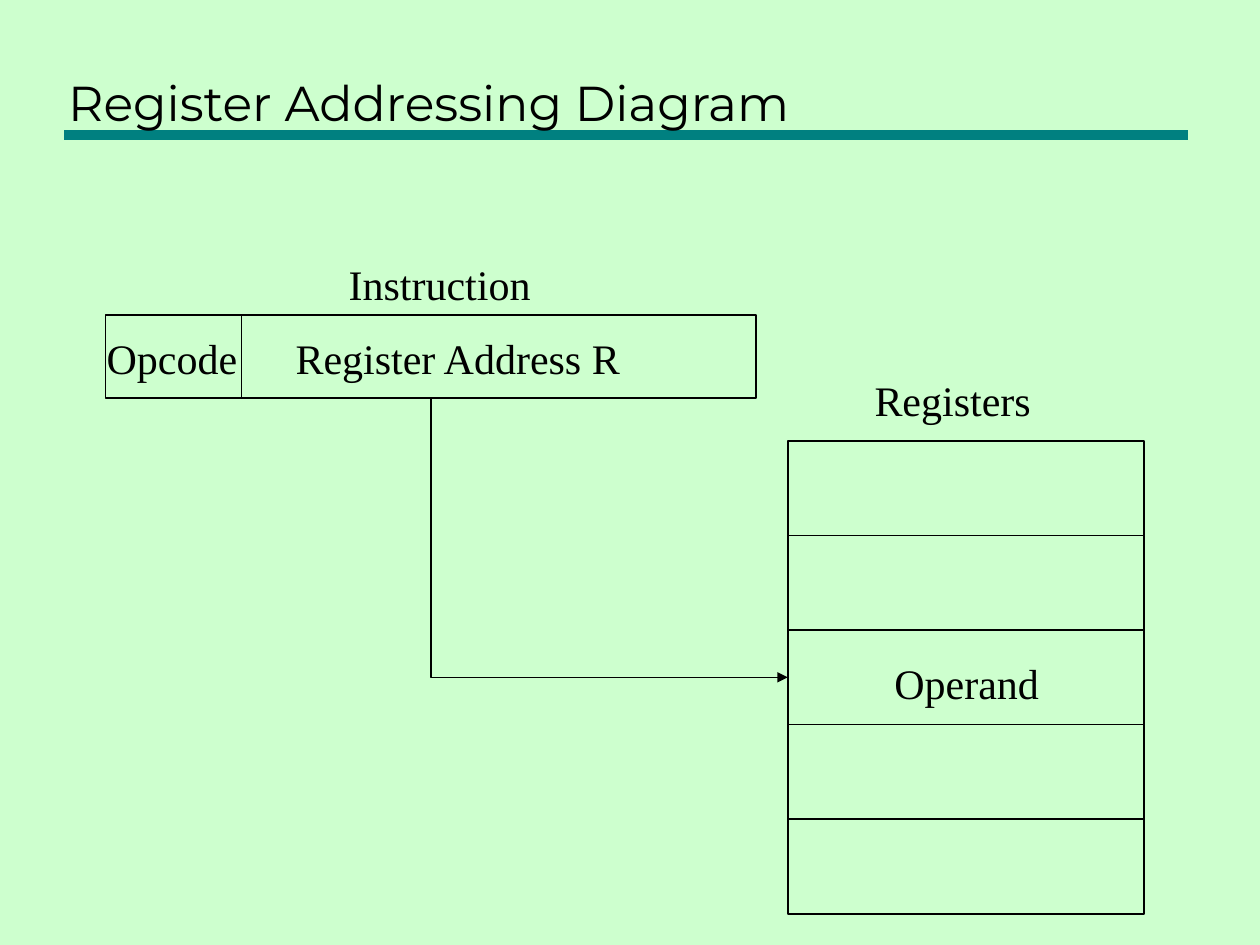
import pptx
import pptx.dml.color
import pptx.enum.shapes
import pptx.enum.text
import pptx.oxml
import pptx.oxml.ns
import pptx.util

Cm = pptx.util.Cm
Pt = pptx.util.Pt
INK = pptx.dml.color.RGBColor(0, 0, 0)
TEAL = pptx.dml.color.RGBColor(0, 0x80, 0x80)
MINT = pptx.dml.color.RGBColor(0xCD, 0xFF, 0xCE)


def add_run(frame, text, font, size):
    """Add one run of black text to the first paragraph of a frame."""
    run = frame.paragraphs[0].add_run()
    run.text = text
    run.font.name = font
    run.font.size = Pt(size)
    run.font.color.rgb = INK


def add_label(shapes, text, left, top, width):
    """Add a one-line label that does not wrap."""
    box = shapes.add_textbox(left, top, width, Cm(1.27))
    box.text_frame.word_wrap = False
    box.text_frame.auto_size = pptx.enum.text.MSO_AUTO_SIZE.SHAPE_TO_FIT_TEXT
    add_run(box.text_frame, text, "Times New Roman", 24)


def outline(shape):
    """Give a shape a thin black edge with no fill or shadow."""
    shape.shadow.inherit = False
    shape.fill.background()
    shape.line.color.rgb = INK
    shape.line.width = Pt(1)


def add_cell(shapes, left, top, width, height):
    """Add an empty outlined rectangle."""
    kind = pptx.enum.shapes.MSO_SHAPE.RECTANGLE
    cell = shapes.add_shape(kind, left, top, width, height)
    outline(cell)
    return cell


def add_line(shapes, start, end, color, weight):
    """Add a straight line without a shadow."""
    kind = pptx.enum.shapes.MSO_CONNECTOR.STRAIGHT
    line = shapes.add_connector(kind, *start, *end)
    line.line.color.rgb = color
    line.line.width = Pt(weight)
    props = line.element.spPr
    props.append(props.makeelement(pptx.oxml.ns.qn("a:effectLst"), {}))
    return line


def draw_head(slide, left, top, width, height):
    """Place the title with a teal rule behind its lower edge."""
    title = slide.shapes.title
    title.left, title.top, title.width, title.height = left, top, width, height
    frame = title.text_frame
    frame.auto_size = pptx.enum.text.MSO_AUTO_SIZE.NONE
    frame.vertical_anchor = pptx.enum.text.MSO_ANCHOR.BOTTOM
    frame.paragraphs[0].alignment = pptx.enum.text.PP_ALIGN.LEFT
    add_run(frame, "Register Addressing Diagram", "Montserrat", 28)
    base = top + height - Cm(0.05)
    start, end = left + Cm(0.18), left + width + Cm(0.05)
    rule = add_line(slide.shapes, (start, base), (end, base), TEAL, 6)
    title.element.addprevious(rule.element)


def draw_code(slide, left, top, width, height):
    """Draw the two-field word with its labels and return its frame."""
    shapes = slide.shapes.add_group_shape().shapes
    cell = add_cell(shapes, left, top, width, height)
    split = left + Cm(2.74)
    add_line(shapes, (split, top), (split, top + height), INK, 1)
    for text, right, down, wide in (
        ("Register Address R", 3.58, 0.23, 7.09),
        ("Opcode", -0.23, 0.23, 3.15),
        ("Instruction", 4.65, -1.27, 4.17),
    ):
        add_label(shapes, text, left + Cm(right), top + Cm(down), Cm(wide))
    return cell


def draw_bank(slide, left, top, width, height):
    """Draw the stack of five cells and return the one in use."""
    step = height // 5
    cells = [
        add_cell(slide.shapes, left, top + row * step, width, step)
        for row in range(5)
    ]
    target = cells[2]
    add_label(slide.shapes, "Registers", left + Cm(1.5), top - Cm(1.47), Cm(3.66))
    add_label(slide.shapes, "Operand", left + Cm(1.9), target.top + Cm(0.43), Cm(3.43))
    return target


def draw_link(slide, source, target):
    """Draw a bent arrow from the base of one cell to the side of another."""
    left = source.left + source.width // 2
    base = target.top + target.height // 2
    path = slide.shapes.build_freeform(left, source.top + source.height)
    path.add_line_segments([(left, base), (target.left, base)], close=False)
    link = path.convert_to_shape()
    outline(link)
    edge = link.line._get_or_add_ln()
    tip = edge.makeelement(pptx.oxml.ns.qn("a:tailEnd"), {"type": "triangle"})
    edge.append(tip)


def main():
    """Build the slide and save it."""
    deck = pptx.Presentation()
    deck.slide_width, deck.slide_height = Cm(25.4), Cm(19.05)
    slide = deck.slides.add_slide(deck.slide_layouts[5])
    slide.background.fill.solid()
    slide.background.fill.fore_color.rgb = MINT
    draw_head(slide, Cm(1.12), Cm(0.43), Cm(22.78), Cm(2.34))
    source = draw_code(slide, Cm(2.13), Cm(6.35), Cm(13.11), Cm(1.68))
    target = draw_bank(slide, Cm(15.88), Cm(8.89), Cm(7.19), Cm(9.53))
    draw_link(slide, source, target)
    deck.save("out.pptx")


if __name__ == "__main__":
    main()
